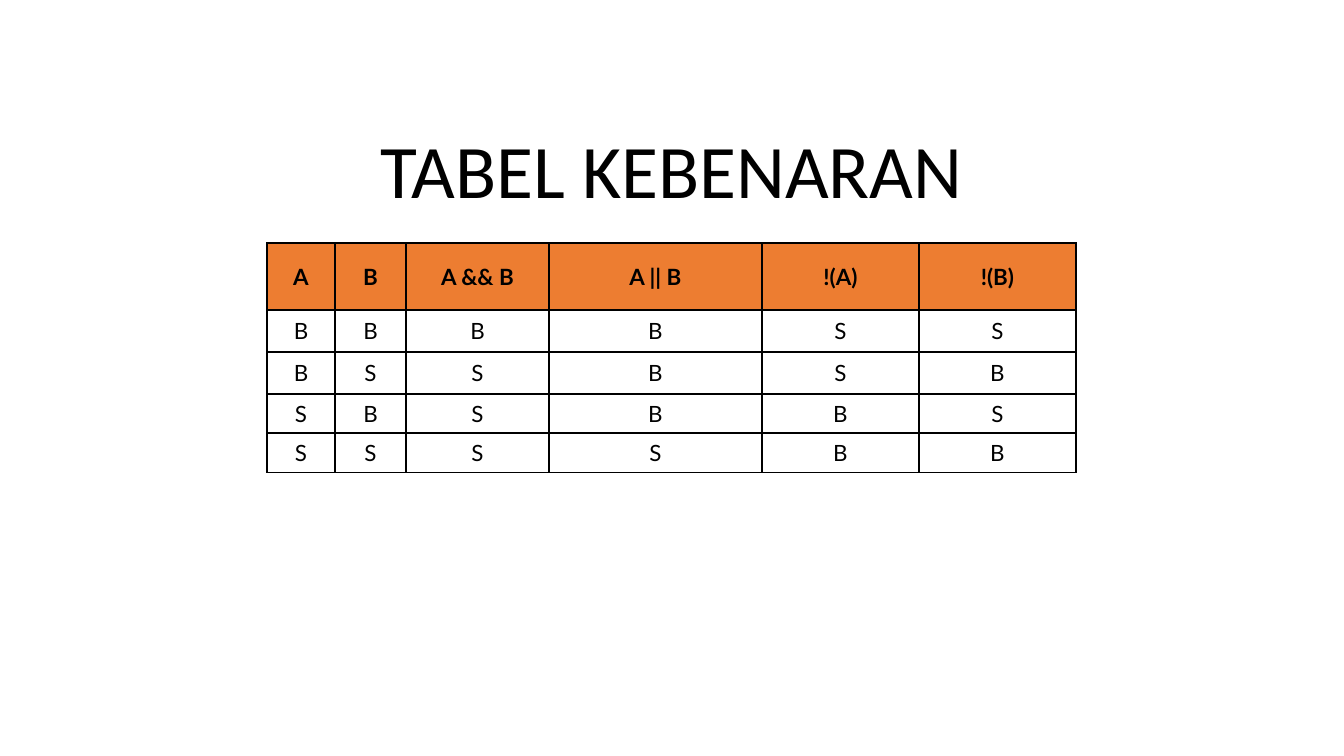
from dataclasses import dataclass
from itertools import product

from lxml import etree
from pptx import Presentation
from pptx import util as u
from pptx.dml.color import RGBColor
from pptx.enum import text
from pptx.oxml.ns import qn

EMU_PER_PX = 914400 / 100.8


@dataclass(frozen=True)
class Theme:
    ink: str = "000000"
    header_fill: str = "ED7D31"
    body_fill: str = "FFFFFF"
    title_font: str = "Calibri"
    table_font: str = "Lato"
    title_size: int = 54
    table_size: int = 16
    border_width: int = 1


THEME = Theme()
COLUMN_WIDTHS = [68, 71, 143, 213, 157, 157]
ROW_HEIGHTS = [67, 42, 42, 39, 40]
HEADERS = ["A", "B", "A && B", "A || B", "!(A)", "!(B)"]


def px(length):
    return u.Emu(round(length * EMU_PER_PX))


def apply_format(target, values):
    for name, value in values.items():
        setattr(target, name, value)


def write_text(frame, content, font, size, bold=False, line_spacing=1.0):
    para = frame.paragraphs[0]
    apply_format(para, {"alignment": text.PP_ALIGN.CENTER,
                        "line_spacing": line_spacing})
    span = para.add_run()
    span.text = content
    apply_format(span.font, {"name": font, "size": u.Pt(size), "bold": bold})
    span.font.color.rgb = RGBColor.from_string(THEME.ink)


def add_title(page, content, left, top, width, height):
    box = page.shapes.add_textbox(px(left), px(top), px(width), px(height))
    apply_format(box.text_frame, {"word_wrap": True,
                                  "vertical_anchor": text.MSO_ANCHOR.BOTTOM})
    write_text(box.text_frame, content, THEME.title_font, THEME.title_size,
               line_spacing=0.9)


def add_borders(cell):
    properties = cell._tc.get_or_add_tcPr()
    for side in ("a:lnL", "a:lnR", "a:lnT", "a:lnB"):
        line = etree.SubElement(properties, qn(side),
                                w=str(u.Pt(THEME.border_width)))
        fill = etree.SubElement(line, qn("a:solidFill"))
        etree.SubElement(fill, qn("a:srgbClr"), val=THEME.ink)


def style_cell(cell, content, fill, bold):
    add_borders(cell)
    cell.fill.solid()
    cell.fill.fore_color.rgb = RGBColor.from_string(fill)
    cell.vertical_anchor = text.MSO_ANCHOR.MIDDLE
    write_text(cell.text_frame, content, THEME.table_font, THEME.table_size, bold)


def truth_rows():
    # B (benar) is true, S (salah) is false
    for a, b in product((True, False), repeat=2):
        yield ["B" if value else "S"
               for value in (a, b, a and b, a or b, not a, not b)]


def add_table(page, rows, left, top):
    table = page.shapes.add_table(
        len(rows), len(COLUMN_WIDTHS), px(left), px(top),
        px(sum(COLUMN_WIDTHS)), px(sum(ROW_HEIGHTS))).table
    for column, width in zip(table.columns, COLUMN_WIDTHS):
        column.width = px(width)
    for row, height in zip(table.rows, ROW_HEIGHTS):
        row.height = px(height)
    for row_index, values in enumerate(rows):
        is_header = row_index == 0
        fill = THEME.header_fill if is_header else THEME.body_fill
        for column_index, value in enumerate(values):
            style_cell(table.cell(row_index, column_index), value, fill, is_header)


def main():
    deck = Presentation()
    apply_format(deck, {"slide_width": px(1344), "slide_height": px(756)})
    page = deck.slides.add_slide(deck.slide_layouts[6])

    # Title
    add_title(page, "TABEL KEBENARAN", 168, 124, 1008, 96)

    # Truth table
    add_table(page, [HEADERS, *truth_rows()], 267, 243)

    deck.save("out.pptx")


if __name__ == "__main__":
    main()
